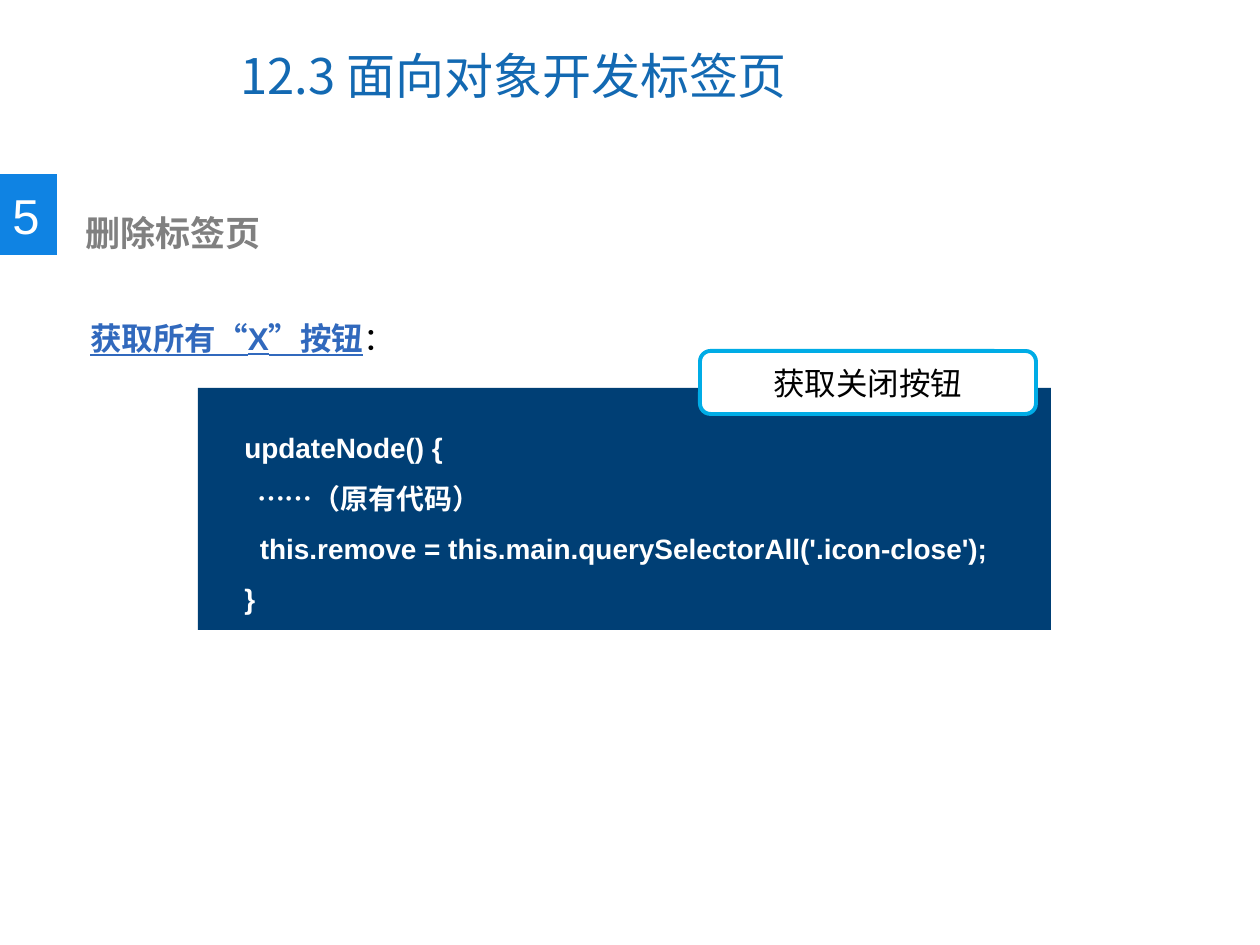
import pptx
import pptx.util
import pptx.dml.color
import pptx.enum.shapes
import pptx.enum.text
import pptx.oxml.ns
from lxml import etree
from dataclasses import dataclass

PX = 914400 // 126
SHAPE = pptx.enum.shapes.MSO_SHAPE
ALIGN = pptx.enum.text.PP_ALIGN
ANCHOR = pptx.enum.text.MSO_ANCHOR


@dataclass(frozen=True)
class Theme:
    latin: str = "Arial"
    cjk: str = "Noto Sans CJK SC"
    white: str = "FFFFFF"
    black: str = "000000"
    title: str = "1369B2"
    badge: str = "0F83E3"
    heading: str = "808080"
    key: str = "3169BD"
    panel: str = "003F75"
    callout: str = "00ACE6"
    title_size: int = 28
    heading_size: int = 20
    body_size: int = 18
    code_size: int = 16


T = Theme()

TITLE = "12.3 面向对象开发标签页"
NUMBER = "5"
HEADING = "删除标签页"
KEY, COLON = "获取所有“X”按钮", "："
CALLOUT = "获取关闭按钮"
CODE = [
    "updateNode() {",
    "  ……（原有代码）",
    "  this.remove = this.main.querySelectorAll('.icon-close');",
    "}",
]

# left, top, width, height in px
TITLE_BOX = (228, 21, 650, 107)
BADGE_BOX = (0, 174, 57, 81)
NUMBER_BOX = (0, 179, 53, 72)
HEADING_BOX = (59, 205, 648, 55)
KEY_BOX = (78, 275, 1090, 77)
PANEL_BOX = (198, 388, 853, 242)
CALLOUT_BOX = (700, 351, 336, 63)
CODE_BOX = (232, 408, 819, 217)
HEADING_INDENT = 14


def emu(box):
    return [v * PX for v in box]


def rgb(value):
    return pptx.dml.color.RGBColor.from_string(value)


def add_run(p, text, size, color, font=T.latin, bold=False, underline=False):
    r = p.add_run()
    r.text = text
    f = r.font
    f.name, f.size, f.bold, f.underline = font, pptx.util.Pt(size), bold, underline
    f.color.rgb = rgb(color)
    ea = etree.Element(pptx.oxml.ns.qn("a:ea"), typeface=T.cjk)
    r._r.rPr.find(pptx.oxml.ns.qn("a:latin")).addnext(ea)


def add_text(slide, box, wrap=True):
    """Add a text box and return its text frame."""
    tf = slide.shapes.add_textbox(*emu(box)).text_frame
    tf.word_wrap = wrap
    return tf


def add_block(slide, kind, box, fill, line=None):
    s = slide.shapes.add_shape(kind, *emu(box))
    s.shadow.inherit = False
    s.fill.solid()
    s.fill.fore_color.rgb = rgb(fill)
    if line:
        s.line.color.rgb = rgb(line)
        s.line.width = pptx.util.Pt(2.25)
    else:
        s.line.fill.background()
    return s


def add_title(slide):
    title = slide.shapes.title
    title.left, title.top, title.width, title.height = emu(TITLE_BOX)
    tf = title.text_frame
    tf.vertical_anchor = ANCHOR.MIDDLE
    p = tf.paragraphs[0]
    p.alignment = ALIGN.LEFT
    add_run(p, TITLE, T.title_size, T.title, T.cjk)


def add_heading(slide):
    add_block(slide, SHAPE.RECTANGLE, BADGE_BOX, T.badge)
    p = add_text(slide, NUMBER_BOX, wrap=False).paragraphs[0]
    add_run(p, NUMBER, T.title_size, T.white)

    p = add_text(slide, HEADING_BOX).paragraphs[0]
    p._p.get_or_add_pPr().set("marL", str(HEADING_INDENT * PX))
    add_run(p, HEADING, T.heading_size, T.heading, T.cjk, bold=True)

    p = add_text(slide, KEY_BOX).paragraphs[0]
    p.line_spacing = 2.0
    add_run(p, KEY, T.body_size, T.key, bold=True, underline=True)
    add_run(p, COLON, T.body_size, T.black)


def add_code(slide):
    add_block(slide, SHAPE.RECTANGLE, PANEL_BOX, T.panel)
    s = add_block(slide, SHAPE.ROUNDED_RECTANGLE, CALLOUT_BOX, T.white, T.callout)
    p = s.text_frame.paragraphs[0]
    s.text_frame.vertical_anchor = ANCHOR.MIDDLE
    p.alignment = ALIGN.CENTER
    add_run(p, CALLOUT, T.body_size, T.black)

    tf = add_text(slide, CODE_BOX)
    for i, line in enumerate(CODE):
        p = tf.add_paragraph() if i else tf.paragraphs[0]
        p.line_spacing = 1.5
        add_run(p, line, T.code_size, T.white, bold=True)


def main():
    prs = pptx.Presentation()
    prs.slide_width, prs.slide_height = emu((1260, 945))
    slide = prs.slides.add_slide(prs.slide_layouts[5])
    add_title(slide)
    add_heading(slide)
    add_code(slide)
    prs.save("out.pptx")


if __name__ == "__main__":
    main()
